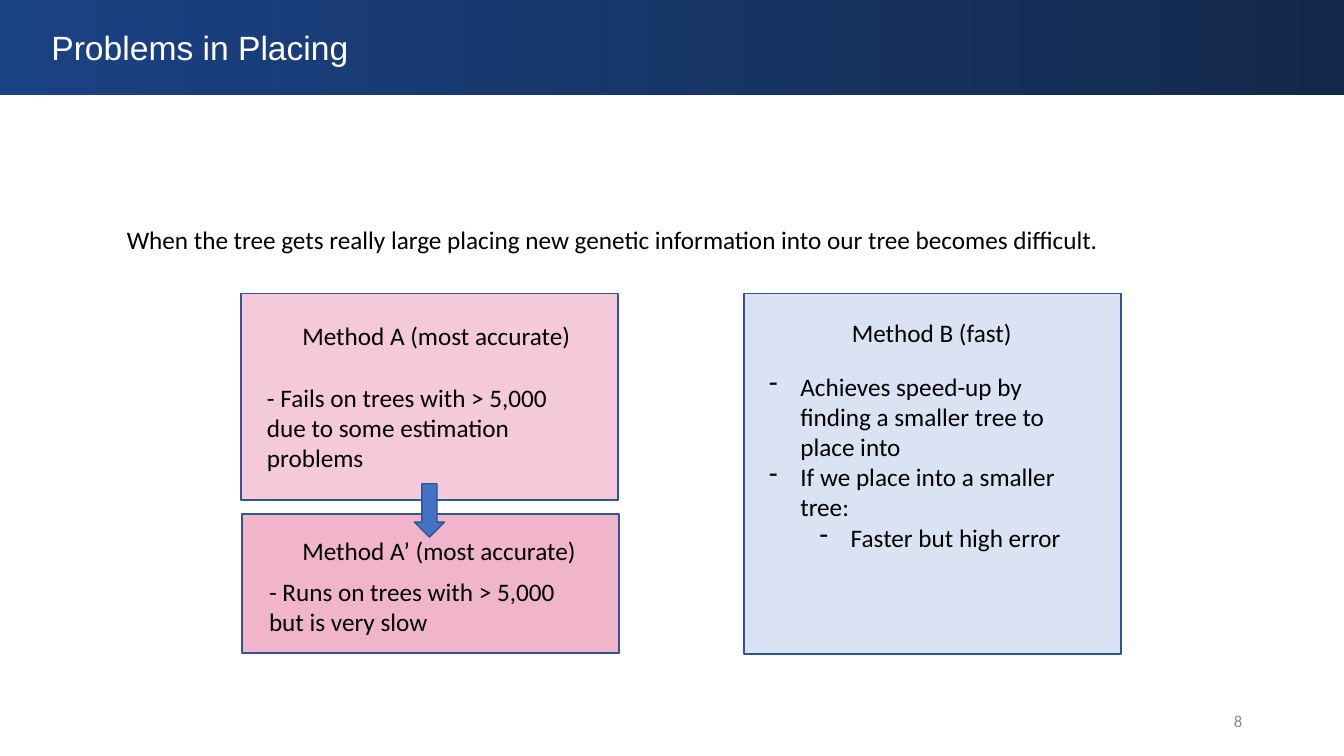
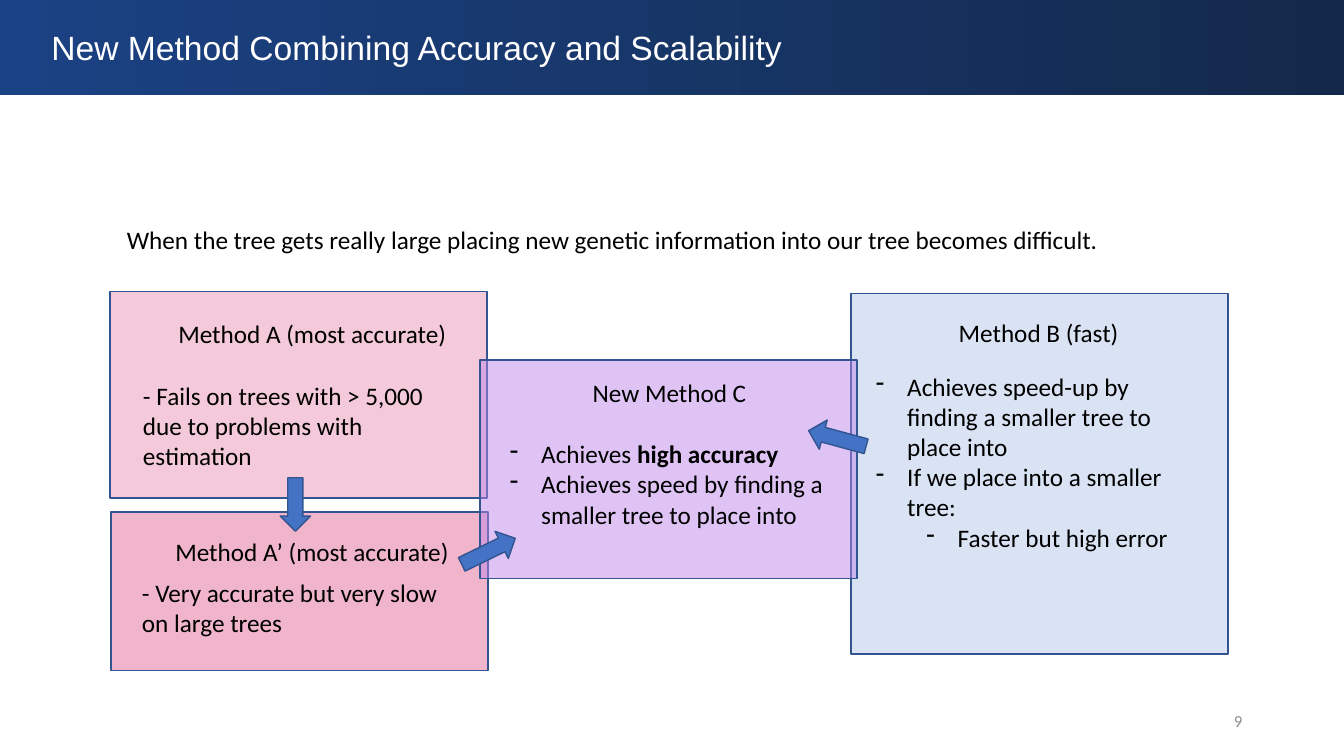
import pptx
import pptx.util
import pptx.dml.color
import pptx.enum.shapes
import pptx.enum.text
import pptx.oxml.ns
import lxml.etree

Inches = pptx.util.Inches
Pt = pptx.util.Pt
Shape = pptx.enum.shapes.MSO_SHAPE
Align = pptx.enum.text.PP_ALIGN
Anchor = pptx.enum.text.MSO_ANCHOR
qn = pptx.oxml.ns.qn

WIDTH, HEIGHT = 13.33, 7.5
PINK, BLUE, PURPLE = "EB96B5", "DAE3F3", "BD86E9"
ARROW, EDGE = "4472C4", "325491"
NAVY, DARK = "1B4284", "13294B"
BLACK, WHITE, GRAY = "000000", "FFFFFF", "8C8C8C"

FRAME = {
    "word_wrap": True,
    "auto_size": pptx.enum.text.MSO_AUTO_SIZE.NONE,
    "vertical_anchor": Anchor.TOP,
    "margin_left": Inches(0.1),
    "margin_right": Inches(0.1),
    "margin_top": Inches(0.05),
    "margin_bottom": Inches(0.05),
}
BODY = {"name": "Calibri", "size": Pt(18)}
TITLE = {"name": "Arial", "size": Pt(24)}
SMALL = {"name": "Calibri", "size": Pt(12)}

LEAD = ("When the tree gets really large placing new genetic information "
        "into our tree becomes difficult.")


def color(code):
    return pptx.dml.color.RGBColor.from_string(code)


def apply(target, values):
    for name, value in values.items():
        setattr(target, name, value)


class Deck:
    def __init__(self):
        self.show = pptx.Presentation()
        self.show.slide_width = Inches(WIDTH)
        self.show.slide_height = Inches(HEIGHT)
        self.slide = None

    # Frame shared by the slides: band, title, lead line, page number
    def start(self, title, page):
        self.slide = self.show.slides.add_slide(self.show.slide_layouts[5])
        head = self.slide.shapes.title
        apply(head, {"left": Inches(0.41), "top": Inches(0.22),
                     "width": Inches(11.93), "height": Inches(0.5)})
        self.fill_text(head.text_frame, [title], TITLE, WHITE)
        head.element.addprevious(self.band().element)
        self.text([LEAD], 1.16, 2.18, 9.96, 0.4)
        self.text([page], 9.42, 6.95, 3, 0.4, SMALL, GRAY,
                  Align.RIGHT, Anchor.MIDDLE)

    def band(self):
        band = self.slide.shapes.add_shape(
            Shape.RECTANGLE, 0, 0, Inches(WIDTH), Inches(0.94))
        band.shadow.inherit = False
        band.line.fill.background()
        band.fill.gradient()
        band.fill.gradient_angle = 0
        for stop, code in zip(band.fill.gradient_stops, (NAVY, DARK)):
            stop.color.rgb = color(code)
        return band

    # Text: an item is a string or (bullet level, string); ** marks bold
    def fill_text(self, frame, items, style, code, align=Align.LEFT,
                  anchor=Anchor.TOP):
        apply(frame, {**FRAME, "vertical_anchor": anchor})
        for i, item in enumerate(items):
            para = frame.add_paragraph() if i else frame.paragraphs[0]
            para.alignment = align
            words = item
            if isinstance(item, tuple):
                level, words = item
                self.bullet(para, level)
            for j, piece in enumerate(words.split("**")):
                if piece:
                    run = para.add_run()
                    run.text = piece
                    apply(run.font, {**style, "bold": j % 2 == 1})
                    run.font.color.rgb = color(code)

    def bullet(self, para, level):
        para.level = level
        props = para._p.get_or_add_pPr()
        props.set("marL", str(Inches(0.31 + 0.5 * level)))
        props.set("indent", str(Inches(-0.31)))
        lxml.etree.SubElement(props, qn("a:buChar")).set("char", "-")

    def text(self, items, left, top, width, height, style=BODY, code=BLACK,
             align=Align.LEFT, anchor=Anchor.TOP):
        box = self.slide.shapes.add_textbox(
            Inches(left), Inches(top), Inches(width), Inches(height))
        self.fill_text(box.text_frame, items, style, code, align, anchor)

    # Outlined shape, with opacity in percent
    def shape(self, kind, left, top, width, height, fill, solid=100, turn=0):
        item = self.slide.shapes.add_shape(
            kind, Inches(left), Inches(top), Inches(width), Inches(height))
        item.shadow.inherit = False
        item.rotation = turn
        item.fill.solid()
        item.fill.fore_color.rgb = color(fill)
        item.line.color.rgb = color(EDGE)
        item.line.width = Pt(1)
        if solid < 100:
            tint = item.element.spPr.find(qn("a:solidFill"))[0]
            lxml.etree.SubElement(tint, qn("a:alpha")).set(
                "val", str(solid * 1000))

    # Card: head and body are placed relative to its corner
    def card(self, left, top, height, fill, solid, head, head_at,
             body, body_at):
        self.shape(Shape.RECTANGLE, left, top, 3.74, height, fill, solid)
        self.text([head], left + head_at[0], top + head_at[1], 3, 0.4)
        self.text(body, left + body_at[0], top + body_at[1], 3.37,
                  height - body_at[1])

    def first(self, left, top, shift, body):
        self.card(left, top, 2.05, PINK, 51, "Method A (most accurate)",
                  (0.51 + shift, 0.22), [body], (0.16 + shift, 0.83))

    def prime(self, left, top, height, head_at, body, body_at):
        self.card(left, top, height, PINK, 70, "Method A’ (most accurate)",
                  head_at, [body], body_at)

    def fast(self, left):
        self.card(left, 2.91, 3.58, BLUE, 100, "Method B (fast)",
                  (0.97, 0.19), [
                      (0, "Achieves speed-up by finding a smaller tree "
                          "to place into"),
                      (0, "If we place into a smaller tree:"),
                      (1, "Faster but high error"),
                  ], (0.15, 0.72))

    # Block arrows
    def down(self, left, top):
        self.shape(Shape.DOWN_ARROW, left, top, 0.3, 0.53, ARROW)

    def point(self, left, top, turn):
        self.shape(Shape.RIGHT_ARROW, left, top, 0.59, 0.3, ARROW, turn=turn)


def main():
    deck = Deck()

    # Problems of the two methods
    deck.start("Problems in Placing", "8")
    deck.first(2.39, 2.91, 0,
               "- Fails on trees with > 5,000 due to some estimation problems")
    deck.prime(2.4, 5.1, 1.38, (0.5, 0.16),
               "- Runs on trees with > 5,000 but is very slow", (0.17, 0.57))
    deck.fast(7.38)
    deck.down(4.11, 4.8)

    # The combined method
    deck.start("New Method Combining Accuracy and Scalability", "9")
    deck.first(1.09, 2.89, 0.07,
               "- Fails on trees with > 5,000 due to problems with estimation")
    deck.fast(8.44)
    deck.prime(1.1, 5.08, 1.57, (0.54, 0.19),
               "- Very accurate but very slow on large trees", (0.21, 0.6))
    deck.card(4.76, 3.57, 2.17, PURPLE, 49, "New Method C", (1.02, 0.12), [
        (0, "Achieves **high accuracy**"),
        (0, "Achieves speed by finding a smaller tree to place into"),
    ], (0.2, 0.73))
    deck.point(4.55, 5.32, 334)
    deck.point(8.01, 4.2, 195.2)
    deck.down(2.78, 4.74)

    deck.show.save("out.pptx")


if __name__ == "__main__":
    main()
